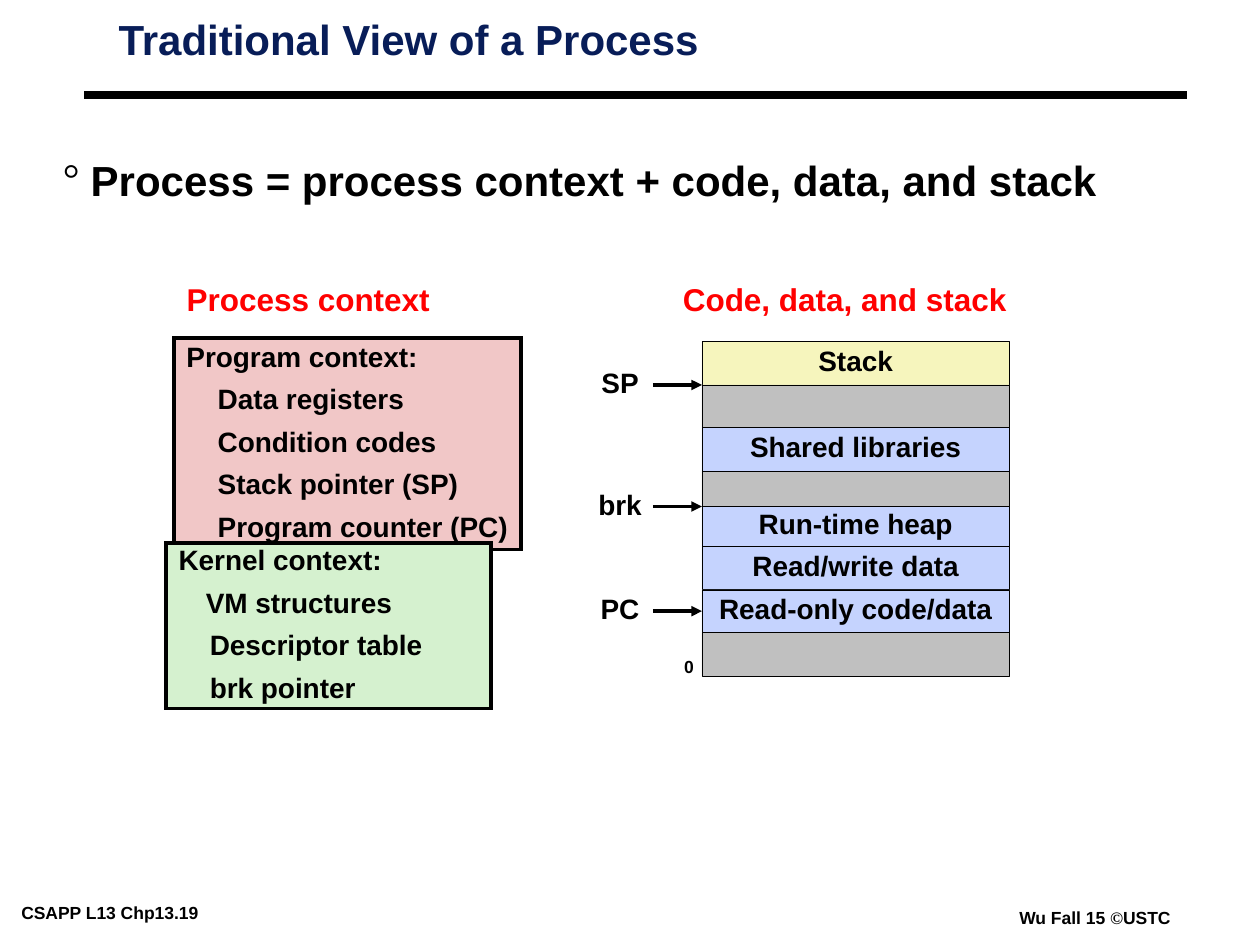
"""Build the slide on the traditional view of a process."""
from lxml import etree
from pptx import Presentation
from pptx.dml.color import RGBColor
from pptx.enum.shapes import MSO_CONNECTOR, MSO_SHAPE
from pptx.enum.text import MSO_ANCHOR, PP_ALIGN
from pptx.oxml.ns import qn
from pptx.util import Cm, Pt

BLACK = RGBColor(0x00, 0x00, 0x00)
NAVY = RGBColor(0x08, 0x1D, 0x58)
RED = RGBColor(0xFF, 0x00, 0x00)
BLUE = RGBColor(0xC5, 0xD3, 0xFE)
GRAY = RGBColor(0xC0, 0xC0, 0xC0)
YELLOW = RGBColor(0xF6, 0xF5, 0xBD)
PINK = RGBColor(0xF1, 0xC7, 0xC7)
GREEN = RGBColor(0xD5, 0xF1, 0xCF)
LEFT, CENTER = PP_ALIGN.LEFT, PP_ALIGN.CENTER
TOP, MIDDLE = MSO_ANCHOR.TOP, MSO_ANCHOR.MIDDLE
RECTANGLE, STRAIGHT = MSO_SHAPE.RECTANGLE, MSO_CONNECTOR.STRAIGHT
PLAIN = {"align": LEFT, "anchor": TOP, "inset": (0.18, 0.08)}

prs = Presentation()
prs.slide_width, prs.slide_height = Cm(25.4), Cm(19.05)
slide = prs.slides.add_slide(prs.slide_layouts[6])
shapes = slide.shapes


def write(shape, lines, size, color=BLACK, align=CENTER, anchor=MIDDLE,
          spacing=0.85, before=8, inset=(0.25, 0.13), wrap=False):
    frame = shape.text_frame
    frame.word_wrap = wrap
    frame.vertical_anchor = anchor
    frame.margin_left = frame.margin_right = Cm(inset[0])
    frame.margin_top = frame.margin_bottom = Cm(inset[1])
    frame.text = "\n".join(lines)
    for paragraph in frame.paragraphs:
        paragraph.alignment = align
        paragraph.line_spacing = spacing
        paragraph.space_before = Pt(before)
        font = paragraph.font
        font.name, font.size, font.bold = "Arial", Pt(size), True
        font.color.rgb = color
    return frame


def draw_line(x1, y1, x2, y2, width):
    line = shapes.add_connector(STRAIGHT, Cm(x1), Cm(y1), Cm(x2), Cm(y2))
    line.line.color.rgb = BLACK
    line.line.width = Pt(width)
    etree.SubElement(line._element.spPr, qn("a:effectLst"))
    return line


course = shapes.add_textbox(Cm(0.25), Cm(18.11), Cm(5.33), Cm(0.56))
write(course, ["CSAPP L13 Chp13.19"], 10, spacing=1.0, before=0, **PLAIN)

credit = shapes.add_textbox(Cm(20.37), Cm(18.21), Cm(3.5), Cm(0.56))
credit_line = write(credit, [""], 10, spacing=1.0, before=0, **PLAIN).paragraphs[0]
for part in ("Wu Fall 15 ", "©", "USTC"):
    run = credit_line.add_run()
    run.text = part
    if part == "©":
        run.font.name = "Times New Roman"

draw_line(1.7, 1.91, 23.93, 1.91, 4.5)

title = shapes.add_textbox(Cm(2.21), Cm(0.33), Cm(12.22), Cm(1.04))
write(title, ["Traditional View of a Process"], 24, NAVY,
      spacing=0.87, before=0, wrap=True, **PLAIN)

definition = shapes.add_textbox(Cm(1.09), Cm(3.28), Cm(21.95), Cm(0.91))
definition_line = write(
    definition, ["Process = process context + code, data, and stack"], 24,
    spacing=0.75, before=19.5, wrap=True, **PLAIN).paragraphs[0]
properties = definition_line._p.get_or_add_pPr()
properties.set("marL", str(Cm(0.56)))
properties.set("indent", str(Cm(-0.56)))
for tag, attribute, value in (("a:buFont", "typeface", "Times New Roman"),
                              ("a:buChar", "char", "°")):
    bullet = etree.Element(qn(tag))
    bullet.set(attribute, value)
    properties[-1].addprevious(bullet)

for heading, left, width in (("Process context", 3.51, 5.41),
                             ("Code, data, and stack", 13.51, 7.04)):
    box = shapes.add_textbox(Cm(left), Cm(5.64), Cm(width), Cm(0.91))
    write(box, [heading], 18, RED, before=9)

contexts = (
    (3.51, 6.81, 6.99, 4.27, PINK, "Program context:",
     (("Data registers", 0.63), ("Condition codes", 0.63),
      ("Stack pointer (SP)", 0.63), ("Program counter (PC)", 0.63))),
    (3.35, 10.95, 6.55, 3.33, GREEN, "Kernel context:",
     (("VM structures", 0.55), ("Descriptor table", 0.63),
      ("brk pointer", 0.63))),
)
for left, top, width, height, fill, heading, items in contexts:
    panel = shapes.add_shape(RECTANGLE, Cm(left), Cm(top), Cm(width), Cm(height))
    panel.shadow.inherit = False
    panel.fill.solid()
    panel.fill.fore_color.rgb = fill
    panel.line.color.rgb = BLACK
    panel.line.width = Pt(2)
    etree.SubElement(panel.line._get_or_add_ln(), qn("a:miter")).set("lim", "800000")
    lines = [heading] + [item for item, indent in items]
    frame = write(panel, lines, 16, align=LEFT)
    for paragraph, (item, indent) in zip(frame.paragraphs[1:], items):
        paragraph._p.get_or_add_pPr().set("marL", str(Cm(indent)))

MEMORY_LEFT, MEMORY_WIDTH = 14.15, 6.2
regions = (
    ("Stack", 0.88, YELLOW),
    ("", 0.86, GRAY),
    ("Shared libraries", 0.88, BLUE),
    ("", 0.71, GRAY),
    ("Run-time heap", 0.8, BLUE),
    ("Read/write data", 0.88, BLUE),
    ("Read-only code/data", 0.86, BLUE),
    ("", 0.88, GRAY),
)
region_tops = []
region_shapes = []
top = 6.88
for name, height, fill in regions:
    region = shapes.add_shape(RECTANGLE, Cm(MEMORY_LEFT), Cm(top),
                              Cm(MEMORY_WIDTH), Cm(height))
    region.shadow.inherit = False
    region.fill.solid()
    region.fill.fore_color.rgb = fill
    region.line.color.rgb = BLACK
    region.line.width = Pt(0.25)
    if name:
        write(region, [name], 16)
    region_tops.append(top)
    region_shapes.append(region)
    top += height

address = shapes.add_textbox(Cm(13.54), Cm(13.16), Cm(0.69), Cm(0.61))
write(address, ["0"], 10, align=LEFT, anchor=TOP, before=5)

LABEL_LEFT, LABEL_WIDTH, LABEL_HEIGHT = 11.84, 1.32, 0.84
code = region_shapes[6]
pointers = (
    ("SP", region_tops[1], None),
    ("PC", region_tops[6] + regions[6][1] / 2, code),
    ("brk", region_tops[4], None),
)
for name, level, target in pointers:
    label = shapes.add_textbox(Cm(LABEL_LEFT), Cm(level - LABEL_HEIGHT / 2),
                               Cm(LABEL_WIDTH), Cm(LABEL_HEIGHT))
    write(label, [name], 16, inset=(0, 0.13))
    arrow = draw_line(LABEL_LEFT + LABEL_WIDTH, level, MEMORY_LEFT, level, 2)
    etree.SubElement(arrow.line._get_or_add_ln(), qn("a:tailEnd")).set("type", "triangle")
    arrow.begin_connect(label, 3)
    if target:
        arrow.end_connect(target, 1)

prs.save("out.pptx")
